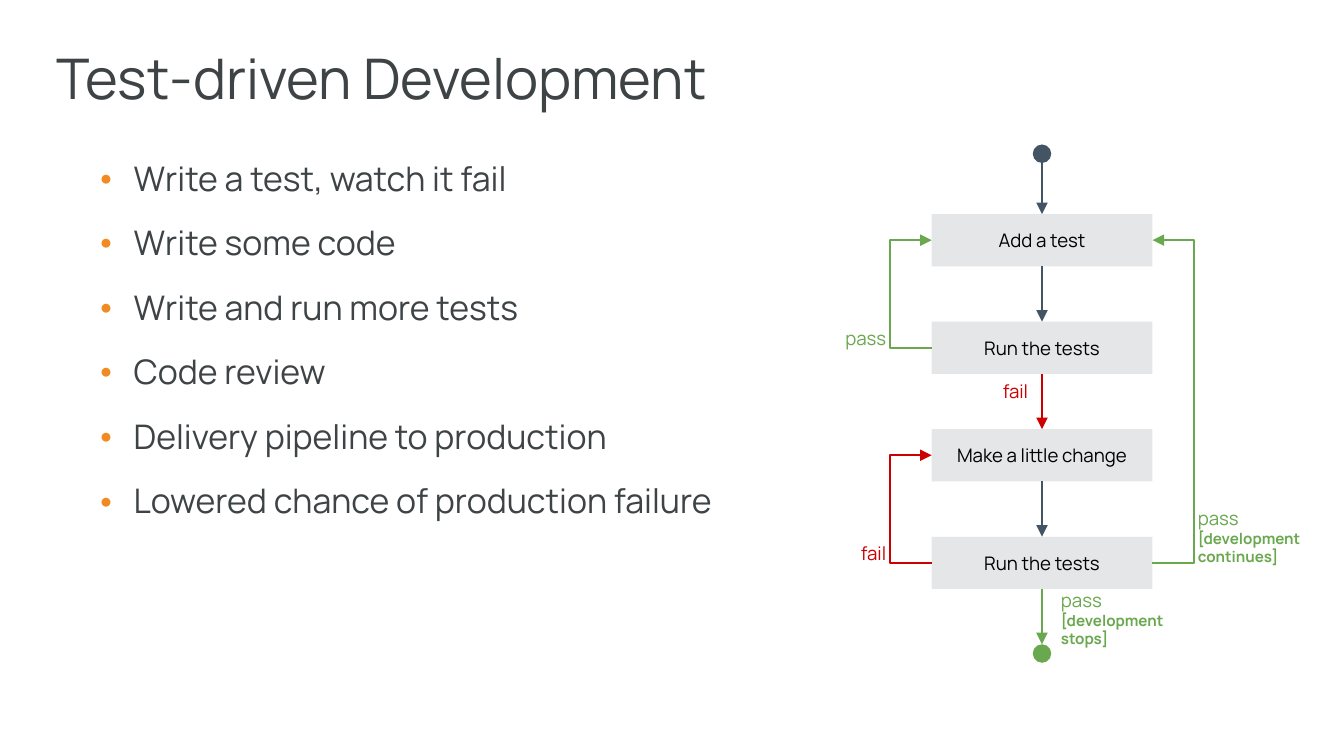
from dataclasses import dataclass

from lxml import etree
from pptx import Presentation
from pptx.dml.color import RGBColor
from pptx.enum.shapes import MSO_CONNECTOR, MSO_SHAPE
from pptx.enum.text import MSO_ANCHOR, MSO_AUTO_SIZE, PP_ALIGN
from pptx.oxml.ns import qn
from pptx.util import Pt

PX = 9144  # 100 px to the inch
STRAIGHT, ELBOW = MSO_CONNECTOR.STRAIGHT, MSO_CONNECTOR.ELBOW
RECTANGLE, OVAL = MSO_SHAPE.RECTANGLE, MSO_SHAPE.OVAL
LEFT, CENTER, RIGHT = PP_ALIGN.LEFT, PP_ALIGN.CENTER, PP_ALIGN.RIGHT
TOP, MIDDLE = MSO_ANCHOR.TOP, MSO_ANCHOR.MIDDLE
TOP_SIDE, LEFT_SIDE, BOTTOM_SIDE, RIGHT_SIDE = range(4)


@dataclass(frozen=True)
class Theme:
    font: str = "Manrope"
    text: str = "3E4346"
    bullet: str = "F18B21"
    step: str = "E4E6E7"
    step_text: str = "000000"
    flow: str = "435464"
    passed: str = "6AA84F"
    failed: str = "CC0000"
    title_size: float = 48
    body_size: float = 29
    label_size: float = 16
    note_size: float = 13
    line_width: float = 1.5


THEME = Theme()

TITLE = "Test-driven Development"
POINTS = [
    "Write a test, watch it fail",
    "Write some code",
    "Write and run more tests",
    "Code review",
    "Delivery pipeline to production",
    "Lowered chance of production failure",
]
STEPS = ["Add a test", "Run the tests", "Make a little change", "Run the tests"]
DOWN_COLORS = [THEME.flow, THEME.failed, THEME.flow]
# from step, to step, side, colour
LOOPS = [
    (1, 0, LEFT_SIDE, THEME.passed),
    (3, 2, LEFT_SIDE, THEME.failed),
    (3, 0, RIGHT_SIDE, THEME.passed),
]
# lines, left, top, width, height, alignment, colour
LABELS = [
    (["pass", "[development continues]"], 1410, 608, 180, 61, LEFT, THEME.passed),
    (["fail"], 988, 647, 83, 22, RIGHT, THEME.failed),
    (["fail"], 1157, 454, 83, 22, RIGHT, THEME.failed),
    (["pass"], 988, 392, 83, 22, RIGHT, THEME.passed),
    (["pass", "[development stops]"], 1247, 725, 202, 22, LEFT, THEME.passed),
]

STEP_LEFT, STEP_TOP, STEP_WIDTH, STEP_HEIGHT, STEP_PITCH = 1109, 255, 263, 62, 128
AXIS = STEP_LEFT + STEP_WIDTH / 2
DOT = 22
START_TOP, STOP_TOP = 172, 767
LOOP_REACH = 42


def px(*lengths):
    return [round(length * PX) for length in lengths]


def place(shape, *bounds):
    shape.left, shape.top, shape.width, shape.height = px(*bounds)


def set_frame(frame, inset, anchor):
    frame.word_wrap = True
    frame.auto_size = MSO_AUTO_SIZE.NONE
    frame.vertical_anchor = anchor
    frame.margin_left = frame.margin_right = inset * PX
    frame.margin_top = frame.margin_bottom = inset * PX


def style(para, size, color, align=LEFT, bold=False):
    para.alignment = align
    for span in para.runs:
        span.font.name = THEME.font
        span.font.size = Pt(size)
        span.font.bold = bold
        span.font.color.rgb = RGBColor.from_string(color)


def add_bullet(para):
    properties = para._p.get_or_add_pPr()
    properties.set("marL", str(80 * PX))
    properties.set("indent", str(-40 * PX))
    color = etree.SubElement(properties, qn("a:buClr"))
    etree.SubElement(color, qn("a:srgbClr"), val=THEME.bullet)
    etree.SubElement(properties, qn("a:buSzPct"), val="61000")
    etree.SubElement(properties, qn("a:buChar"), char="●")


def add_solid(page, kind, color, *bounds):
    shape = page.shapes.add_shape(kind, *px(*bounds))
    shape.shadow.inherit = False
    shape.fill.solid()
    shape.fill.fore_color.rgb = RGBColor.from_string(color)
    shape.line.fill.background()
    return shape


def add_arrow(page, kind, color, start=(AXIS, 0), end=(AXIS, 0)):
    arrow = page.shapes.add_connector(kind, *px(*start, *end))
    arrow.line.color.rgb = RGBColor.from_string(color)
    arrow.line.width = Pt(THEME.line_width)
    line = arrow.line._get_or_add_ln()
    etree.SubElement(line, qn("a:tailEnd"), type="triangle", w="lg", len="lg")
    etree.SubElement(arrow._element.spPr, qn("a:effectLst"))
    return arrow


def bend(arrow, reach):
    """Push the elbow sideways; the bend is a share of the width, so keep a hair of width."""
    arrow.width = PX // 10
    guides = arrow._element.spPr.find(qn("a:prstGeom")).find(qn("a:avLst"))
    share = round(reach * PX / arrow.width * 100000)
    etree.SubElement(guides, qn("a:gd"), name="adj1", fmla=f"val {share}")


def add_text(page):
    title, body = page.shapes.title, page.placeholders[1]
    place(title, 67, 60, 1467, 73)
    set_frame(title.text_frame, 0, MIDDLE)
    title.text_frame.text = TITLE
    heading = title.text_frame.paragraphs[0]
    heading.line_spacing = 0.9
    style(heading, THEME.title_size, THEME.text)

    place(body, 67, 181, 847, 568)
    set_frame(body.text_frame, 12, TOP)
    body.text_frame.text = "\n".join(POINTS)
    for index, para in enumerate(body.text_frame.paragraphs):
        add_bullet(para)
        para.line_spacing = 0.9
        para.space_before = Pt(8 if index else 0)
        para.space_after = Pt(16)
        style(para, THEME.body_size, THEME.text)


def add_flow(page):
    steps = []
    for index, name in enumerate(STEPS):
        top = STEP_TOP + index * STEP_PITCH
        step = add_solid(page, RECTANGLE, THEME.step, STEP_LEFT, top, STEP_WIDTH, STEP_HEIGHT)
        set_frame(step.text_frame, 16, MIDDLE)
        step.text_frame.text = name
        style(step.text_frame.paragraphs[0], THEME.label_size, THEME.step_text, CENTER)
        steps.append(step)

    for upper, lower, color in zip(steps, steps[1:], DOWN_COLORS):
        arrow = add_arrow(page, STRAIGHT, color)
        arrow.begin_connect(upper, BOTTOM_SIDE)
        arrow.end_connect(lower, TOP_SIDE)

    for source, target, side, color in LOOPS:
        on_right = side == RIGHT_SIDE
        edge = (STEP_LEFT + STEP_WIDTH if on_right else STEP_LEFT, STEP_TOP)
        arrow = add_arrow(page, ELBOW, color, start=edge, end=edge)
        arrow.begin_connect(steps[source], side)
        arrow.end_connect(steps[target], side)
        bend(arrow, LOOP_REACH if on_right else -LOOP_REACH)

    for top, color in [(START_TOP, THEME.flow), (STOP_TOP, THEME.passed)]:
        add_solid(page, OVAL, color, AXIS - DOT / 2, top, DOT, DOT)
    entry = add_arrow(page, STRAIGHT, THEME.flow, start=(AXIS, START_TOP + DOT))
    entry.end_connect(steps[0], TOP_SIDE)
    leaving = add_arrow(page, STRAIGHT, THEME.passed, end=(AXIS, STOP_TOP))
    leaving.begin_connect(steps[-1], BOTTOM_SIDE)


def add_labels(page):
    for lines, left, top, width, height, align, color in LABELS:
        box = page.shapes.add_textbox(*px(left, top, width, height))
        set_frame(box.text_frame, 16, MIDDLE)
        box.text_frame.text = "\n".join(lines)
        for index, para in enumerate(box.text_frame.paragraphs):
            size = THEME.note_size if index else THEME.label_size
            style(para, size, color, align, bold=index > 0)


def main():
    deck = Presentation()
    deck.slide_width, deck.slide_height = px(1600, 900)
    page = deck.slides.add_slide(deck.slide_layouts[1])
    add_text(page)
    add_flow(page)
    add_labels(page)
    deck.save("out.pptx")


if __name__ == "__main__":
    main()
